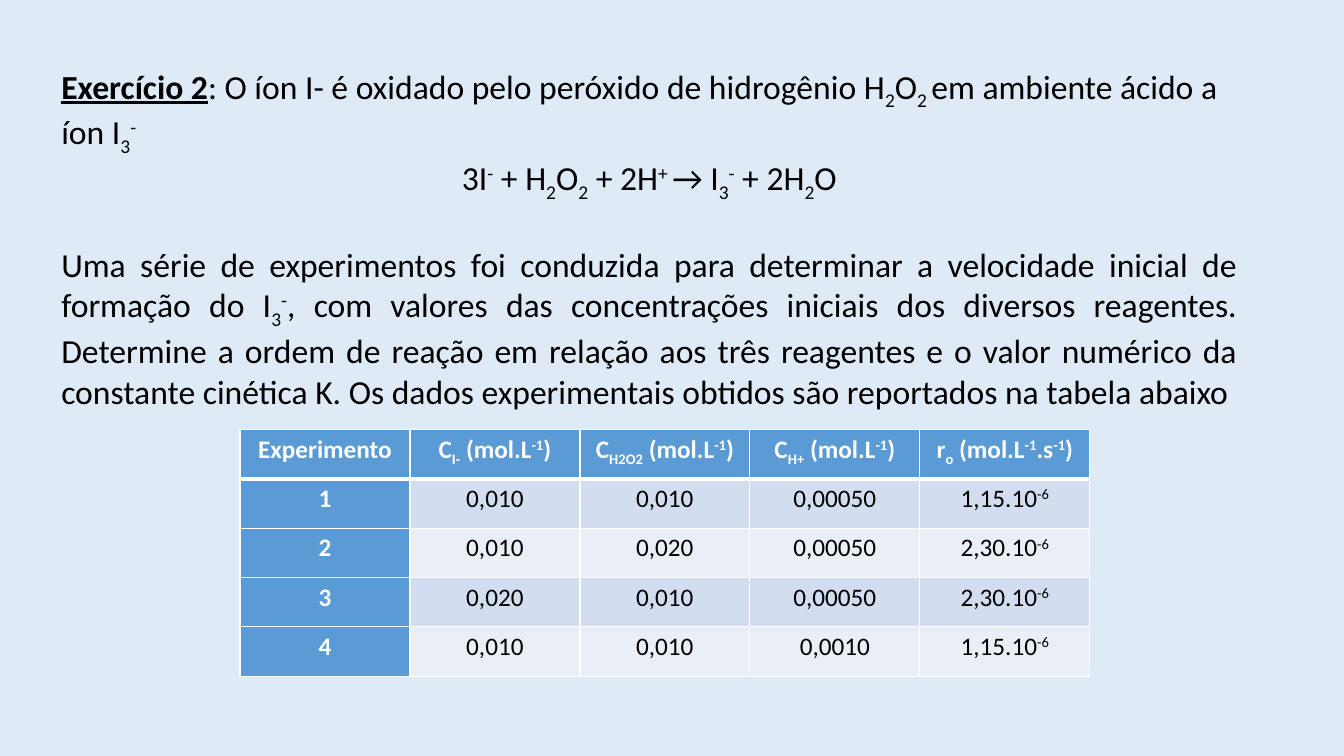
"""Build the slide for the kinetics exercise on the oxidation of iodide."""
from lxml import etree
from pptx import Presentation
from pptx import util as u
from pptx.dml.color import RGBColor
from pptx.enum import text
from pptx.oxml import ns

TITLE = "Exercício 2"
PARAGRAPHS = [
    (": O íon I- é oxidado pelo peróxido de hidrogênio H|_2|O|_2 |em ambiente ácido a íon I|_3|^-",
     text.PP_ALIGN.LEFT, 0),
    ("3I|^-| + H|_2|O|_2| + 2H|^+ |→ I|_3|^-| + 2H|_2|O", text.PP_ALIGN.CENTER, 0),
    ("Uma série de experimentos foi conduzida para determinar a velocidade inicial de "
     "formação do I|_3|^-|, com valores das concentrações iniciais dos diversos reagentes. "
     "Determine a ordem de reação em relação aos três reagentes e o valor numérico da "
     "constante cinética K. Os dados experimentais obtidos são reportados na tabela abaixo",
     text.PP_ALIGN.JUSTIFY, 29.3),
]
ROWS = [
    ("Experimento", "C|_I-| (mol.L|^-1|)", "C|_H2O2| (mol.L|^-1|)", "C|_H+| (mol.L|^-1|)",
     "r|_o| (mol.L|^-1|.s|^-1|)"),
    ("1", "0,010", "0,010", "0,00050", "1,15.10|^-6"),
    ("2", "0,010", "0,020", "0,00050", "2,30.10|^-6"),
    ("3", "0,020", "0,010", "0,00050", "2,30.10|^-6"),
    ("4", "0,010", "0,010", "0,0010", "1,15.10|^-6"),
]

FONT = "Calibri"
BASELINES = {"_": "-25000", "^": "30000"}
BACKGROUND = RGBColor(0xDE, 0xEB, 0xF7)
BLACK = RGBColor(0, 0, 0)
WHITE = RGBColor(0xFF, 0xFF, 0xFF)
HEADER = RGBColor(0x5B, 0x9B, 0xD5)
BANDS = [RGBColor(0xEA, 0xEF, 0xF7), RGBColor(0xD2, 0xDE, 0xEF)]


def add_formula(para, formula):
    for piece in formula.split("|"):
        span = para.add_run()
        baseline = BASELINES.get(piece[0])
        span.text = piece[1:] if baseline else piece
        if baseline:
            span.font._element.set("baseline", baseline)


def style(para, size, color, align, bold=False):
    para.alignment = align
    para.font.name = FONT
    para.font.size = u.Pt(size)
    para.font.color.rgb = color
    para.font.bold = bold


def set_borders(cell, widths):
    properties = cell._tc.get_or_add_tcPr()
    for index, (side, width) in enumerate(widths.items()):
        line = etree.Element(ns.qn(f"a:ln{side}"), w=str(u.Pt(width)))
        fill = etree.SubElement(line, ns.qn("a:solidFill"))
        etree.SubElement(fill, ns.qn("a:srgbClr"), val=str(WHITE))
        properties.insert(index, line)


def add_statement(page):
    box = page.shapes.add_textbox(u.Inches(0.51), u.Inches(0.6), u.Inches(11.86), u.Inches(3.33))
    frame = box.text_frame
    frame.word_wrap = True
    frame.auto_size = text.MSO_AUTO_SIZE.SHAPE_TO_FIT_TEXT
    for index, (formula, align, gap) in enumerate(PARAGRAPHS):
        para = frame.add_paragraph() if index else frame.paragraphs[0]
        style(para, 24, BLACK, align)
        para.space_before = u.Pt(gap)
        if index == 0:
            title = para.add_run()
            title.text = TITLE
            title.font.bold = title.font.underline = True
        add_formula(para, formula)


def add_results(page):
    table = page.shapes.add_table(len(ROWS), len(ROWS[0]), u.Inches(2.38), u.Inches(4.26),
                                  u.Inches(8.43), u.Inches(2.45)).table
    for r, row in enumerate(ROWS):
        for c, formula in enumerate(row):
            cell = table.cell(r, c)
            heading = r == 0 or c == 0
            cell.margin_left = cell.margin_right = u.Inches(0.07)
            cell.margin_top = cell.margin_bottom = 0
            cell.fill.solid()
            cell.fill.fore_color.rgb = HEADER if heading else BANDS[r % 2]
            set_borders(cell, {"L": 1, "R": 1, "T": 3 if r == 1 else 1, "B": 3 if r == 0 else 1})
            para = cell.text_frame.paragraphs[0]
            style(para, 18, WHITE if heading else BLACK, text.PP_ALIGN.CENTER, heading)
            para.line_spacing = 1.15
            add_formula(para, formula)


def main():
    deck = Presentation()
    deck.slide_width, deck.slide_height = u.Inches(13.33), u.Inches(7.5)
    page = deck.slides.add_slide(deck.slide_layouts[6])
    page.background.fill.solid()
    page.background.fill.fore_color.rgb = BACKGROUND
    add_statement(page)
    add_results(page)
    deck.save("out.pptx")


if __name__ == "__main__":
    main()
